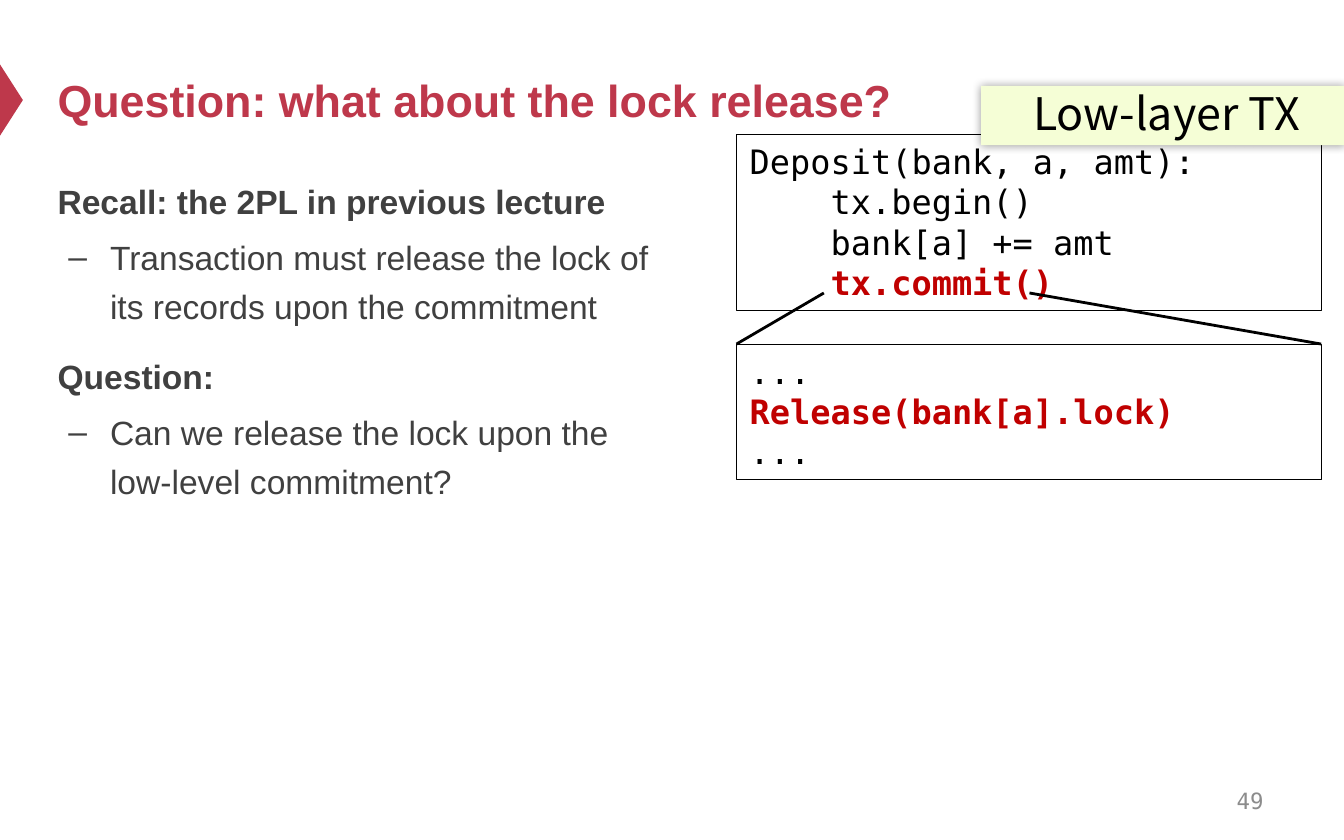
from lxml.etree import SubElement
from pptx import Presentation
from pptx.dml.color import RGBColor
from pptx.enum.shapes import MSO_CONNECTOR as Connector, MSO_SHAPE as Shape
from pptx.enum.text import MSO_ANCHOR as Anchor, PP_ALIGN as Align
from pptx.oxml.ns import qn
from pptx.util import Inches, Pt

COLORS = {
    "accent": "BE384B", "body": "404040", "number": "8C8C8C",
    "code": "000000", "highlight": "C00000", "label": "F5FED6",
}
HEADING = {"bold": True, "space_before": Pt(12), "line_spacing": 1.2}
POINT = {"space_before": Pt(4), "line_spacing": 1.2, "bullet": "–"}
CODE = {}
KEY_CODE = {"bold": True, "color": "highlight"}


class SlideBuilder:
    cell = 0.1
    sans, mono, label_font = "Arial", "DejaVu Sans Mono", "Noto Sans CJK SC"

    def __init__(self, presentation):
        self.slide = presentation.slides.add_slide(presentation.slide_layouts[6])

    def grid(self, *cells):
        return [Inches(value * self.cell) for value in cells]

    def fill_text(self, shape, lines, font, size, color, anchor=Anchor.TOP, align=Align.LEFT):
        frame = shape.text_frame
        frame.word_wrap = True
        frame.vertical_anchor = anchor
        for index, (text, style) in enumerate(lines):
            paragraph = frame.paragraphs[0] if index == 0 else frame.add_paragraph()
            paragraph.alignment = align
            for name in ("line_spacing", "space_before"):
                if name in style and (index or name != "space_before"):
                    setattr(paragraph, name, style[name])
            if "bullet" in style:
                properties = paragraph._p.get_or_add_pPr()
                properties.set("marL", str(Inches(0.39)))
                properties.set("indent", str(Inches(-0.31)))
                SubElement(properties, qn("a:buFont"), typeface=font)
                SubElement(properties, qn("a:buChar"), char=style["bullet"])
            run = paragraph.add_run()
            run.text = text
            values = {"name": font, "size": Pt(size), "bold": style.get("bold", False)}
            for name, value in values.items():
                setattr(run.font, name, value)
            run.font.color.rgb = RGBColor.from_string(COLORS[style.get("color", color)])
            SubElement(run._r.get_or_add_rPr(), qn("a:ea"), typeface=font)

    def text(self, area, lines, font, size, color, **layout):
        self.fill_text(self.slide.shapes.add_textbox(*self.grid(*area)), lines, font, size, color, **layout)

    def shape(self, kind, area, fill=None, line=None):
        shape = self.slide.shapes.add_shape(kind, *self.grid(*area))
        shape.shadow.inherit = False
        if fill:
            shape.fill.solid()
            shape.fill.fore_color.rgb = RGBColor.from_string(COLORS[fill])
        else:
            shape.fill.background()
        if line:
            shape.line.color.rgb = RGBColor.from_string(COLORS[line])
            shape.line.width = Pt(0.3)
        else:
            shape.line.fill.background()
        return shape

    def marker(self, area):
        self.shape(Shape.ISOSCELES_TRIANGLE, area, fill="accent").rotation = 90

    def code(self, area, lines):
        self.fill_text(self.shape(Shape.RECTANGLE, area, line="code"), lines, self.mono, 18, "code")

    def label(self, area, text):
        shape = self.shape(Shape.RECTANGLE, area, fill="label")
        effects = shape._element.spPr.find(qn("a:effectLst"))
        shadow = SubElement(effects, qn("a:outerShdw"), blurRad=str(Pt(5)), dist="0", dir="0")
        color = SubElement(shadow, qn("a:srgbClr"), val=COLORS["code"])
        SubElement(color, qn("a:alpha"), val="40000")
        margins = {"left": 0.14, "right": 0.08, "top": 0, "bottom": 0.04}
        for side, margin in margins.items():
            setattr(shape.text_frame, f"margin_{side}", Inches(margin))
        self.fill_text(shape, [(text, {})], self.label_font, 24, "code", align=Align.CENTER)

    def line(self, start, end):
        connector = self.slide.shapes.add_connector(Connector.STRAIGHT, *self.grid(*start, *end))
        connector.line.color.rgb = RGBColor.from_string(COLORS["code"])
        connector.line.width = Pt(1.5)
        SubElement(connector._element.spPr, qn("a:effectLst"))


def main():
    presentation = Presentation()
    presentation.slide_width, presentation.slide_height = Inches(10), Inches(6.25)
    builder = SlideBuilder(presentation)
    left, width, detail_top = 54.8, 43.5, 25.6

    builder.marker((-1.8, 6.6, 5.3, 1.7))
    builder.text((3.3, 2.5, 90, 9.8), [("Question: what about the lock release?", {"bold": True})],
                 builder.sans, 24, "accent", anchor=Anchor.MIDDLE)
    builder.text((3.3, 12.4, 46.5, 41.2), [
        ("Recall: the 2PL in previous lecture", HEADING),
        ("Transaction must release the lock of its records upon the commitment", POINT),
        ("Question:", HEADING),
        ("Can we release the lock upon the low-level commitment?", POINT),
    ], builder.sans, 18, "body")
    builder.text((71.7, 57.9, 23.3, 3.3), [("49", {})], builder.mono, 12, "number",
                 anchor=Anchor.MIDDLE, align=Align.RIGHT)

    builder.code((left, 10, width, 13.1), [
        ("Deposit(bank, a, amt):", CODE),
        ("    tx.begin()", CODE),
        ("    bank[a] += amt", CODE),
        ("    tx.commit()", KEY_CODE),
    ])
    builder.label((73, 6.4, 27, 4.4), "Low-layer TX")
    builder.code((left, detail_top, width, 10.1), [
        ("...", CODE),
        ("Release(bank[a].lock)", KEY_CODE),
        ("...", CODE),
    ])
    for corner, call_edge in ((left, 61.3), (left + width, 76.6)):
        builder.line((corner, detail_top), (call_edge, 21.8))

    presentation.save("out.pptx")


if __name__ == "__main__":
    main()
